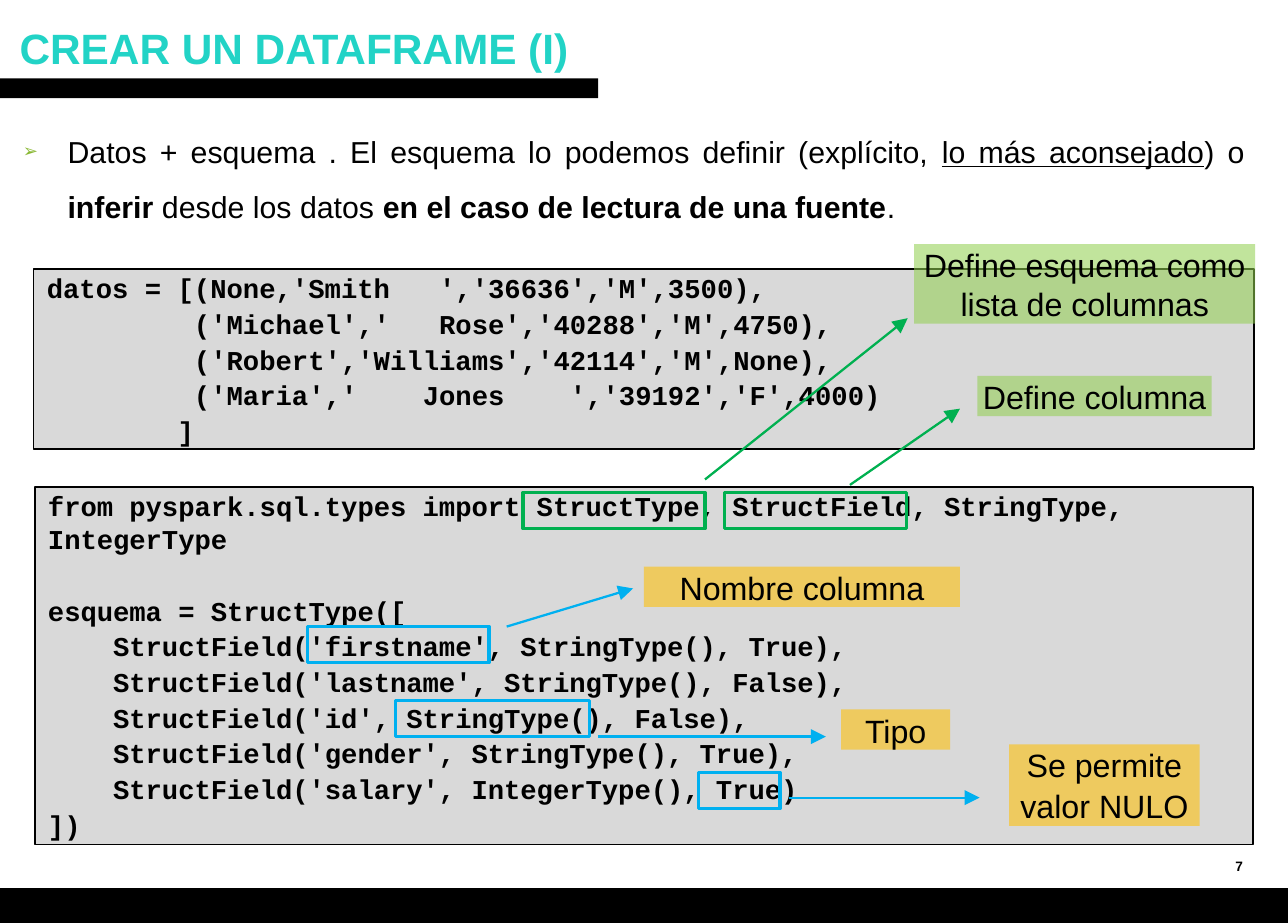
import pptx
import pptx.util
import pptx.dml.color
import pptx.enum.shapes
import pptx.enum.text
import pptx.oxml
import pptx.oxml.ns

Pt = pptx.util.Pt
SHAPE = pptx.enum.shapes.MSO_SHAPE
ALIGN = pptx.enum.text.PP_ALIGN
ANCHOR = pptx.enum.text.MSO_ANCHOR

COLORS = {"title": "22D3C6", "ink": "000000", "bullet": "89B833", "code": "D9D9D9",
          "green": "00B050", "blue": "00B0F0", "lime": "92D050", "amber": "FFC000"}
COLS, ROWS = 118.2, 84.7
CELL = pptx.util.Inches(0.1)
LEADING = 1.21

TITLE = "CREAR UN DATAFRAME (I)"
PAGE = "7"
BODY = [("Datos + esquema . El esquema lo podemos definir (explícito, ", ""),
        ("lo más aconsejado", "u"), (") o ", ""), ("inferir", "b"),
        (" desde los datos ", ""),
        ("en el caso de lectura de una fuente", "b"), (".", "")]
DATA_CODE = [
    "datos = [(None,'Smith   ','36636','M',3500),",
    "         ('Michael','   Rose','40288','M',4750),",
    "         ('Robert','Williams','42114','M',None),",
    "         ('Maria','    Jones    ','39192','F',4000)",
    "        ]"]
SCHEMA_CODE = [
    "from pyspark.sql.types import StructType, StructField, StringType, IntegerType",
    "esquema = StructType([",
    "    StructField('firstname', StringType(), True),",
    "    StructField('lastname', StringType(), False),",
    "    StructField('id', StringType(), False),",
    "    StructField('gender', StringType(), True),",
    "    StructField('salary', IntegerType(), True)",
    "])"]
CODE_BOXES = [((3.1, 24.7, 112, 16.5), DATA_CODE, None, 0),
              ((3.2, 44.7, 111.8, 32.8), SCHEMA_CODE, "esquema", -4)]
CALLOUTS = [
    (["Nombre columna"], "amber", (59.1, 52, 29, 3.7),
     "blue", (28.2, 57.5, 16.7, 3.3), (46.5, 57.5, 58.1, 54)),
    (["Tipo"], "amber", (77.2, 65.1, 10, 3.7),
     "blue", (36.3, 64.3, 17.8, 3.3), (54.9, 67.6, 75.8, 67.6)),
    (["Se permite", "valor NULO"], "amber", (92.6, 68.3, 17.5, 7.5),
     "blue", (64.1, 70.9, 7.5, 3.3), (72.4, 73.2, 89.9, 73.2)),
    (["Define esquema como lista de columnas"], "lime", (83.9, 22.4, 31.3, 7.3),
     "green", (48, 45.2, 16.7, 3.3), (64.7, 44, 83.3, 29.2)),
    (["Define columna"], "lime", (89.7, 34.5, 21.5, 3.7),
     "green", (66.5, 45.2, 16.7, 3.3), (78, 44.5, 88.1, 37.5))]


def cells(values):
    return [round(v * CELL) for v in values]


def rgb(name):
    return pptx.dml.color.RGBColor.from_string(COLORS[name])


def add_xml(parent, text):
    parent.append(pptx.oxml.parse_xml(
        text.replace("/>", f" {pptx.oxml.ns.nsdecls('a')}/>", 1)))


def place(sp, box):
    sp.left, sp.top, sp.width, sp.height = cells(box)


def style(r, size, color="ink", bold=False, font="Arial"):
    r.font.name, r.font.size, r.font.bold = font, Pt(size), bold
    r.font.color.rgb = rgb(color)


def add_box(s, box, fill=None, line=None, weight=1):
    sp = s.shapes.add_shape(SHAPE.RECTANGLE, *cells(box))
    sp.shadow.inherit = False
    if fill:
        sp.fill.solid()
        sp.fill.fore_color.rgb = rgb(fill)
    else:
        sp.fill.background()
    if line:
        sp.line.color.rgb = rgb(line)
        sp.line.width = Pt(weight)
    else:
        sp.line.fill.background()
    return sp


def write_lines(sp, lines, size, gap, top, font="Arial", bold=False, align=ALIGN.LEFT):
    tf = sp.text_frame
    tf.word_wrap = True
    tf.vertical_anchor = ANCHOR.TOP
    tf.margin_left = tf.margin_right = tf.margin_bottom = 0
    tf.margin_top = round(top * CELL)
    tf.text = "\n".join(lines)
    for i, p in enumerate(tf.paragraphs):
        p.alignment = align
        p.line_spacing = Pt(round(size * LEADING, 1))
        if i:
            p.space_before = Pt(gap)
        style(p.runs[0], size, bold=bold, font=font)
    return tf.paragraphs


def add_code(s, box, lines, after_gap, tracking):
    sp = add_box(s, box, "code", "ink")
    size, gap = 18, 1.75
    for p in write_lines(sp, lines, size, gap, 0.2, "Courier New", True):
        p._p.get_or_add_pPr().set("marL", str(round(1.2 * CELL)))
        p.runs[0]._r.get_or_add_rPr().set("spc", str(tracking))
        if after_gap and p.text.startswith(after_gap):
            p.space_before = Pt(size * LEADING + 2 * gap)


def add_arrow(s, ends, color):
    c = s.shapes.add_connector(pptx.enum.shapes.MSO_CONNECTOR.STRAIGHT, *cells(ends))
    c.line.color.rgb = rgb(color)
    c.line.width = Pt(1.5)
    add_xml(c.line._get_or_add_ln(), '<a:tailEnd type="triangle" w="lg" len="lg"/>')
    add_xml(c._element.spPr, "<a:effectLst/>")


def add_callout(s, lines, fill, label_box, accent, target, ends):
    add_box(s, target, None, accent, 2.25)
    add_arrow(s, ends, accent)
    sp = add_box(s, label_box, fill)
    clr = sp._element.spPr.find(".//" + pptx.oxml.ns.qn("a:srgbClr"))
    add_xml(clr, '<a:alpha val="56000"/>')
    write_lines(sp, lines, 21.3, 1.2, 0.1, align=ALIGN.CENTER)


def fill_title(sp):
    place(sp, (0.8, 1.5, 106.7, 6.7))
    tf = sp.text_frame
    tf.text = TITLE
    tf.auto_size = pptx.enum.text.MSO_AUTO_SIZE.NONE
    tf.vertical_anchor = ANCHOR.TOP
    p = tf.paragraphs[0]
    p.alignment = ALIGN.LEFT
    p.line_spacing = Pt(28 * LEADING)
    style(p.runs[0], 28, "title", True)


def fill_body(sp):
    place(sp, (0.9, 10, 114.3, 10.5))
    tf = sp.text_frame
    tf.auto_size = pptx.enum.text.MSO_AUTO_SIZE.NONE
    p = tf.paragraphs[0]
    pPr = p._p.get_or_add_pPr()
    pPr.set("marL", str(round(4.3 * CELL)))
    pPr.set("indent", str(round(-4.1 * CELL)))
    add_xml(pPr, "<a:buClr/>")
    add_xml(pPr[-1], f'<a:srgbClr val="{COLORS["bullet"]}"/>')
    add_xml(pPr, '<a:buSzPct val="60000"/>')
    add_xml(pPr, '<a:buChar char="➢"/>')
    p.alignment = ALIGN.JUSTIFY
    p.space_before = Pt(0)
    p.line_spacing = Pt(20 * LEADING * 1.5)
    for text, mark in BODY:
        r = p.add_run()
        r.text = text
        style(r, 20, bold=mark == "b")
        r.font.underline = mark == "u"


def add_page_number(s):
    tf = s.shapes.add_textbox(*cells((112.4, 77.5, 4.6, 4))).text_frame
    tf.word_wrap = True
    tf.vertical_anchor = ANCHOR.MIDDLE
    tf.text = PAGE
    style(tf.paragraphs[0].runs[0], 9, bold=True)


def main():
    prs = pptx.Presentation()
    prs.slide_width, prs.slide_height = cells((COLS, ROWS))
    s = prs.slides.add_slide(prs.slide_layouts[1])
    fill_title(s.shapes.title)
    fill_body(s.placeholders[1])
    add_box(s, (0, 81.5, COLS, ROWS - 81.5), "ink")
    add_box(s, (0, 7.2, 54.9, 1.8), "ink")
    add_page_number(s)
    for code_box in CODE_BOXES:
        add_code(s, *code_box)
    for callout in CALLOUTS:
        add_callout(s, *callout)
    prs.save("out.pptx")


if __name__ == "__main__":
    main()
